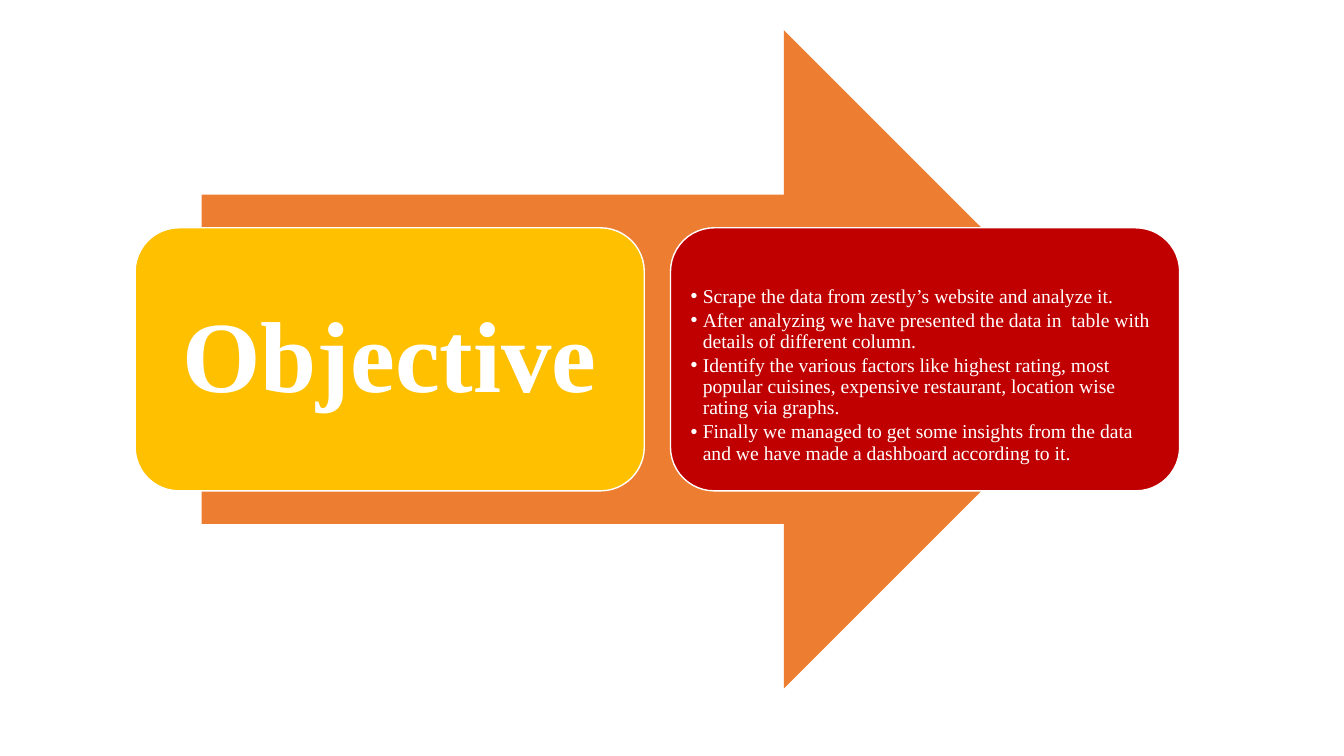
from dataclasses import dataclass

from lxml.etree import SubElement
from pptx import Presentation
from pptx.dml.color import RGBColor
from pptx.enum.shapes import MSO_SHAPE as Preset
from pptx.enum.text import MSO_ANCHOR as Anchor, MSO_AUTO_SIZE as AutoSize, PP_ALIGN as Align
from pptx.oxml.ns import qn
from pptx.shapes.autoshape import Shape
from pptx.slide import Slide
from pptx.util import Inches, Length, Pt


@dataclass(frozen=True)
class Theme:
    font: str = "Times New Roman"
    arrow: RGBColor = RGBColor(0xED, 0x7D, 0x31)
    heading: RGBColor = RGBColor(0xFF, 0xC0, 0x00)
    goals: RGBColor = RGBColor(0xC0, 0x00, 0x00)
    light: RGBColor = RGBColor(0xFF, 0xFF, 0xFF)
    heading_size: Length = Pt(72)
    goals_size: Length = Pt(14)
    outline: Length = Pt(1)


@dataclass(frozen=True)
class Panel:
    preset: Preset
    left: float
    top: float
    width: float
    height: float
    fill: RGBColor
    outlined: bool = True


THEME = Theme()
CARD_TOP, CARD_WIDTH, CARD_HEIGHT = 2.26, 5.05, 2.61
CARD_LEFT, CARD_STEP, CARD_PADDING = 1.34, 5.31, 0.13
GOALS_OFFSET = 0.38

GOALS = [
    "Scrape the data from zestly’s website and analyze it.",
    "After analyzing we have presented the data in  table with details of different column.",
    "Identify the various factors like highest rating, most popular cuisines, "
    "expensive restaurant, location wise rating via graphs.",
    "Finally we managed to get some insights from the data and we have made "
    "a dashboard according to it.",
]


def draw_panel(slide: Slide, panel: Panel) -> None:
    shape = slide.shapes.add_shape(
        panel.preset, Inches(panel.left), Inches(panel.top),
        Inches(panel.width), Inches(panel.height))
    shape.shadow.inherit = False
    shape.fill.solid()
    shape.fill.fore_color.rgb = panel.fill
    if panel.outlined:
        shape.line.color.rgb = THEME.light
        shape.line.width = THEME.outline
    else:
        shape.line.fill.background()


def place_over(slide: Slide, holder: Shape, card: Panel, drop: float = 0) -> None:
    holder.left = Inches(card.left + CARD_PADDING)
    holder.top = Inches(card.top + CARD_PADDING + drop)
    holder.width = Inches(card.width - 2 * CARD_PADDING)
    holder.height = Inches(card.height - 2 * CARD_PADDING - drop)
    slide.shapes._spTree.append(holder._element)


def write(holder: Shape, lines: list[str], *, size: Length, inset: float,
          bold: bool = False, align: Align = Align.LEFT, anchor: Anchor = Anchor.TOP,
          gap: Length = Pt(0), bullet: str = "") -> None:
    frame = holder.text_frame
    frame.text = "\n".join(lines)
    frame.word_wrap = True
    frame.auto_size = AutoSize.NONE
    frame.vertical_anchor = anchor
    frame.margin_left = frame.margin_right = Inches(inset)
    frame.margin_top = frame.margin_bottom = Inches(inset)
    for paragraph in frame.paragraphs:
        paragraph.alignment = align
        paragraph.line_spacing = 0.9
        paragraph.space_before = Pt(0)
        paragraph.space_after = gap
        for run in paragraph.runs:
            run.font.name = THEME.font
            run.font.size = size
            run.font.bold = bold
            run.font.color.rgb = THEME.light
        if bullet:
            properties = paragraph._p.get_or_add_pPr()
            properties.set("marL", str(Inches(0.12)))
            properties.set("indent", str(Inches(-0.12)))
            SubElement(properties, qn("a:buChar")).set("char", bullet)


deck = Presentation()
deck.slide_width, deck.slide_height = Inches(13.33), Inches(7.5)
objective = deck.slides.add_slide(deck.slide_layouts[1])

arrow = Panel(Preset.RIGHT_ARROW, 2, 0.3, 9.04, 6.53, THEME.arrow, outlined=False)
heading_card, goals_card = (
    Panel(Preset.ROUNDED_RECTANGLE, CARD_LEFT + column * CARD_STEP, CARD_TOP,
          CARD_WIDTH, CARD_HEIGHT, fill)
    for column, fill in enumerate((THEME.heading, THEME.goals)))
for panel in (arrow, heading_card, goals_card):
    draw_panel(objective, panel)

heading, goals = objective.placeholders
place_over(objective, heading, heading_card)
write(heading, ["Objective"], size=THEME.heading_size, inset=0.3, bold=True,
      align=Align.CENTER, anchor=Anchor.MIDDLE)
place_over(objective, goals, goals_card, drop=GOALS_OFFSET)
write(goals, GOALS, size=THEME.goals_size, inset=0.07, gap=Pt(2), bullet="•")

deck.save("out.pptx")
